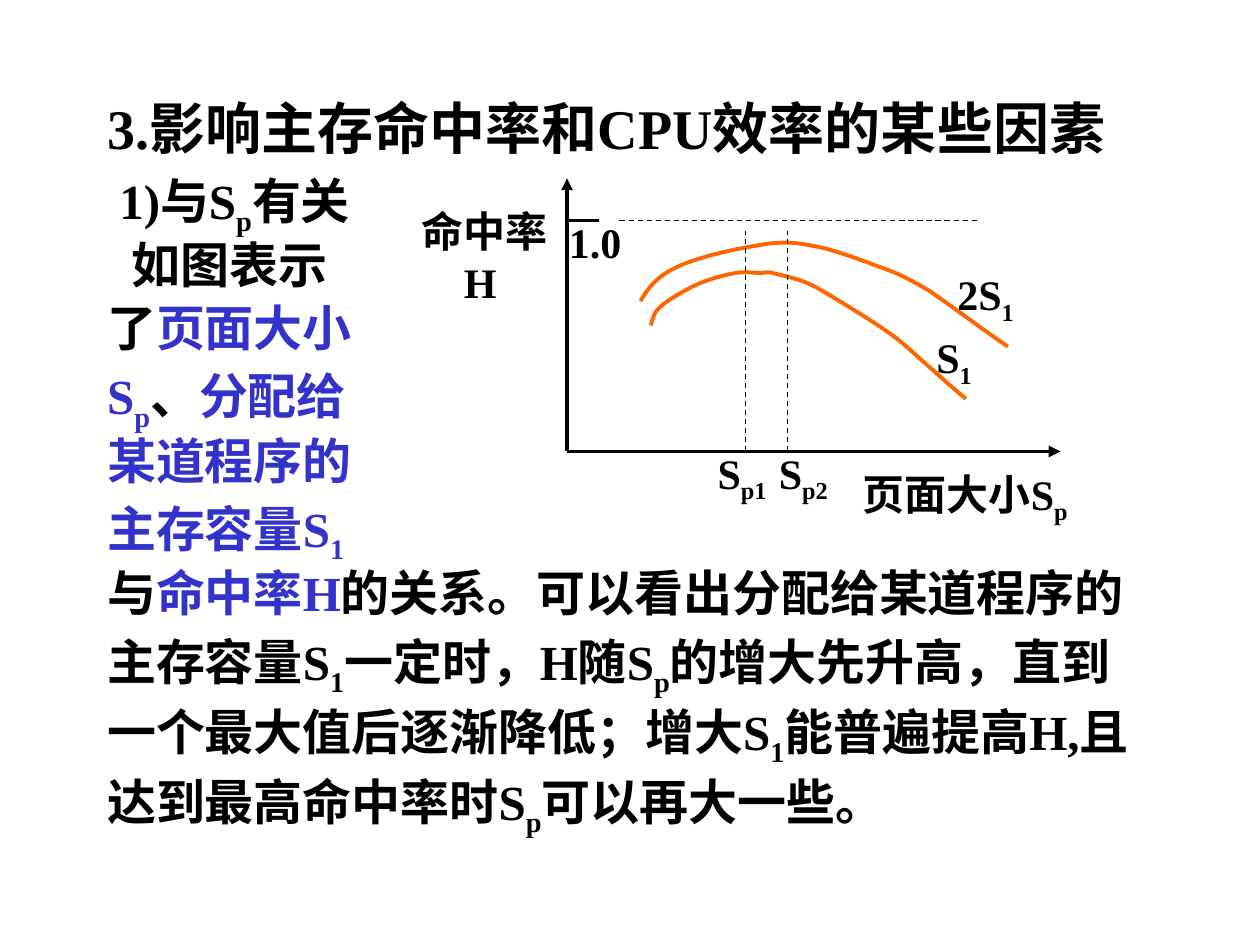
import pptx
import pptx.util
import pptx.dml.color
import pptx.enum.dml
import pptx.enum.text
import pptx.oxml
import pptx.oxml.ns
import lxml.etree
from dataclasses import dataclass

Pt = pptx.util.Pt
qn = pptx.oxml.ns.qn


@dataclass(frozen=True)
class Theme:
    ink: str = "000000"
    blue: str = "3333CC"
    curve: str = "FF6600"
    latin: str = "Times New Roman"
    han: str = "Noto Sans CJK SC"
    head: int = 32
    body: int = 28
    label: int = 24
    thick: float = 2.25
    thin: float = 0.75


THEME = Theme()

BODY = [
    [" ", "1)与S", ("p", "sub"), "有关"],
    ["如图表示"],
    ["了", ("页面大小", "blue")],
    [("S", "blue"), ("p", "blue sub"), "、", ("分配给", "blue")],
    [("某道程序的", "blue")],
    [("主存容量", "blue"), ("S", "blue"), ("1", "blue sub")],
    ["与", ("命中率", "blue"), ("H", "blue"), "的关系。可以看出分配给某道程序的"],
    ["主存容量S", ("1", "sub"), "一定时，H随S", ("p", "sub"), "的增大先升高，直到"],
    ["一个最大值后逐渐降低；增大S", ("1", "sub"), "能普遍提高H,且"],
    ["达到最高命中率时S", ("p", "sub"), "可以再大一些。"],
]

UPPER = [
    (366, 172), (370, 165.5), (374.5, 158.5), (386, 153),
    (397, 147.5), (418.5, 142.5), (431.5, 140.5),
    (445, 138), (452, 138), (464.5, 140.5),
    (476.5, 142.5), (493, 149), (504, 153),
    (515, 157), (517.5, 158.5), (530, 165.5),
    (542, 173.5), (568, 193), (576, 198),
]
LOWER = [
    (372, 186), (373, 182), (373.5, 178), (379, 174),
    (384, 170), (393, 165), (399.5, 162),
    (407, 159), (414.5, 157), (420.5, 156),
    (426, 155), (430.5, 156), (434, 156),
    (438, 156), (436.5, 155), (441.5, 156),
    (445.5, 157), (455, 159), (462, 162),
    (468.5, 165), (474.5, 169), (483, 174),
    (491, 179), (502.5, 186), (510.5, 192),
    (518.5, 198), (525.5, 205), (531.5, 210),
    (537, 215), (541.5, 219), (545, 222),
    (548.5, 225), (551, 227), (552, 228),
]


def tint(color):
    return pptx.dml.color.RGBColor.from_string(color)


def add_run(para, text, style, size):
    run = para.add_run()
    run.text = text
    font = run.font
    font.name, font.size, font.bold = THEME.latin, Pt(size), True
    font.color.rgb = tint(THEME.blue if "blue" in style else THEME.ink)
    props = font._element
    lxml.etree.SubElement(props, qn("a:ea")).set("typeface", THEME.han)
    if "sub" in style:
        props.set("baseline", "-25000")


def fill_para(para, parts, size):
    for part in parts:
        text, style = (part, "") if isinstance(part, str) else part
        add_run(para, text, style, size)


def set_indent(para, margin, first):
    props = para._p.get_or_add_pPr()
    props.set("marL", str(Pt(margin)))
    props.set("indent", str(Pt(first)))
    return props


def add_body(slide):
    slide.shapes.title.element.getparent().remove(slide.shapes.title.element)
    body = slide.placeholders[1]
    body.left, body.top, body.width, body.height = Pt(54), Pt(54), Pt(612), Pt(426)
    frame = body.text_frame
    frame.word_wrap = True
    frame.auto_size = pptx.enum.text.MSO_AUTO_SIZE.NONE
    head = ["3.", "影响主存命中率和", "CPU", "效率的某些因素"]
    for i, parts in enumerate([head] + BODY):
        para = frame.add_paragraph() if i else frame.paragraphs[0]
        props = set_indent(para, 27, -13 if i == 2 else -27)
        lxml.etree.SubElement(props, qn("a:buNone"))
        para.line_spacing = 0.9
        para.space_before = Pt(5.6 if i else 0)
        fill_para(para, parts, THEME.body if i else THEME.head)


def add_label(slide, left, top, width, height, *paras, wrap=False):
    box = slide.shapes.add_textbox(Pt(left), Pt(top), Pt(width), Pt(height))
    frame = box.text_frame
    frame.word_wrap = wrap
    for i, parts in enumerate(paras):
        para = frame.add_paragraph() if i else frame.paragraphs[0]
        fill_para(para, parts, THEME.label)
    return frame


def add_line(slide, start, end, width, dash=False, arrow=False):
    ends = [Pt(v) for v in start + end]
    link = slide.shapes.add_connector(pptx.enum.shapes.MSO_CONNECTOR.STRAIGHT, *ends)
    link.line.color.rgb = tint(THEME.ink)
    link.line.width = Pt(width)
    if dash:
        link.line.dash_style = pptx.enum.dml.MSO_LINE.DASH
    if arrow:
        tail = lxml.etree.SubElement(link.line._get_or_add_ln(), qn("a:tailEnd"))
        tail.set("type", "triangle")
    lxml.etree.SubElement(link._element.spPr, qn("a:effectLst"))


def add_curve(slide, points):
    spots = [(Pt(x), Pt(y)) for x, y in points]
    draft = slide.shapes.build_freeform(*spots[0])
    draft.add_line_segments(spots[1:], close=False)
    shape = draft.convert_to_shape()
    route = next(shape._element.iter(qn("a:path")))
    legs = route.findall(qn("a:lnTo"))
    for i in range(0, len(legs), 3):
        bend = lxml.etree.SubElement(route, qn("a:cubicBezTo"))
        for leg in legs[i:i + 3]:
            bend.append(leg[0])
            route.remove(leg)
    shape.shadow.inherit = False
    shape.fill.background()
    shape.line.color.rgb = tint(THEME.curve)
    shape.line.width = Pt(THEME.thick)


def add_graph(slide):
    zero = (324, 258)
    add_line(slide, zero, (606, 258), THEME.thick, arrow=True)
    add_line(slide, zero, (324, 102), THEME.thick, arrow=True)
    for points in (UPPER, LOWER):
        add_curve(slide, points)
    add_line(slide, (324, 126), (342, 126), THEME.thick)
    add_line(slide, (354, 126), (558, 126), THEME.thin, dash=True)
    for x in (426, 450):
        add_line(slide, (x, 258), (x, 132), THEME.thin, dash=True)

    add_label(slide, 486, 264, 133, 36, ["页面大小S", ("p", "sub")], wrap=True)
    rate = add_label(slide, 234, 114, 87, 65, ["命中率"], ["H"])
    set_indent(rate.paragraphs[1], 0, 24)
    add_label(slide, 318, 120, 45, 36, ["1.0"])
    add_label(slide, 528, 186, 36, 36, ["S", ("1", "sub")])
    add_label(slide, 540, 150, 48, 36, ["2S", ("1", "sub")])
    add_label(slide, 403, 252, 44, 36, ["S", ("p1", "sub")])
    add_label(slide, 438, 252, 44, 36, ["S", ("p2", "sub")])


def main():
    deck = pptx.Presentation()
    deck.slide_width, deck.slide_height = Pt(720), Pt(540)
    slide = deck.slides.add_slide(deck.slide_layouts[1])
    add_body(slide)
    add_graph(slide)
    deck.save("out.pptx")


if __name__ == "__main__":
    main()
